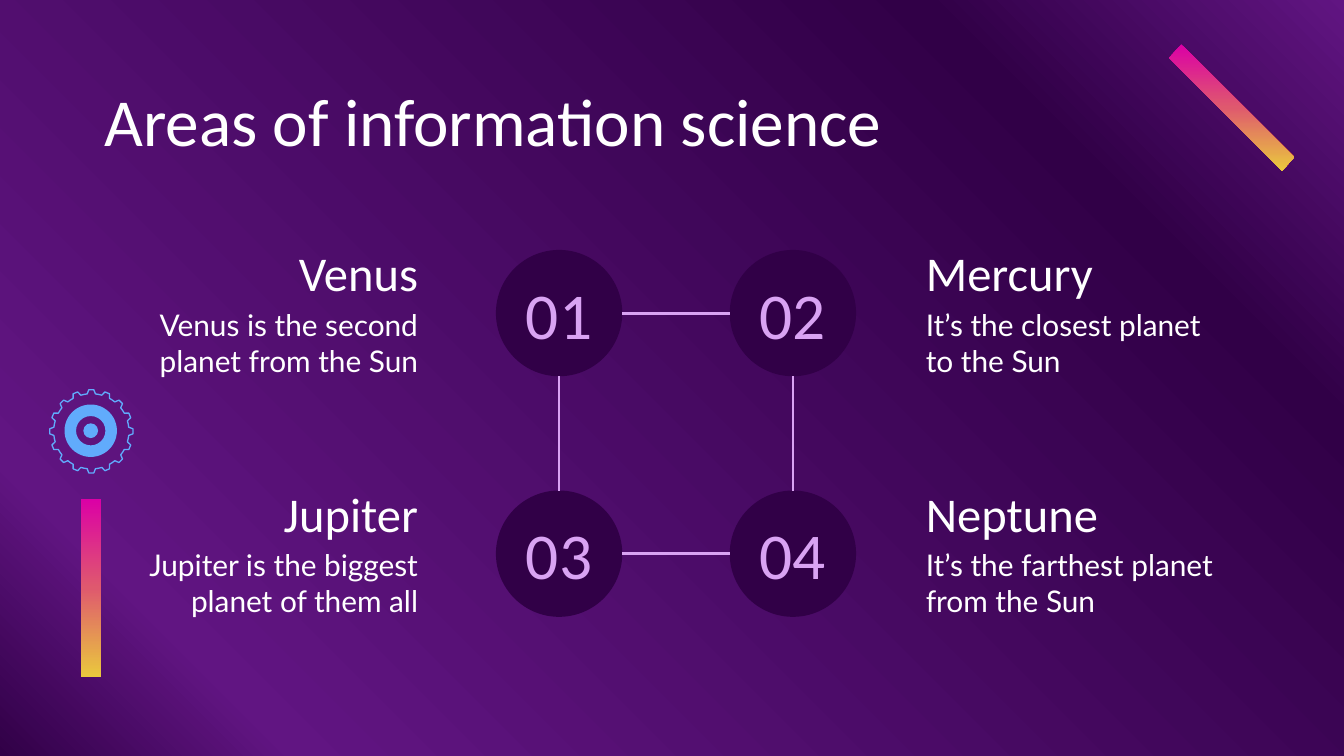
from copy import deepcopy
from math import cos, pi, sin

from pptx import Presentation
from pptx import util as u
from pptx.dml.color import RGBColor
from pptx.enum import shapes, text
from pptx.oxml import ns, xmlchemy

THEME = {
    "dark": RGBColor.from_string("310047"),
    "lilac": RGBColor.from_string("D9A3F3"),
    "white": RGBColor.from_string("FFFFFF"),
    "blue": RGBColor.from_string("61ABFC"),
    "backdrop": [(0, "310047"), (0.14, "611582"), (0.8, "310047"), (1, "611582")],
    "sunset": [(0, "DB00A6"), (0.5, "DF596E"), (1, "EAC93D")],
    "title": {"name": "Calibri", "size": u.Pt(36)},
    "number": {"name": "Calibri", "size": u.Pt(35)},
    "heading": {"name": "Calibri", "size": u.Pt(26)},
    "body": {"name": "Lato", "size": u.Pt(16)},
}

deck = Presentation()
deck.slide_width = u.Inches(10)
deck.slide_height = u.Inches(10 * 9 / 16)
page = deck.slides.add_slide(deck.slide_layouts[6])


def write(words, area, style, color="white", align="LEFT", anchor="MIDDLE"):
    box = page.shapes.add_textbox(*map(u.Inches, area))
    frame = box.text_frame
    margins = {f"margin_{side}": u.Inches(0.1) for side in ("left", "top", "right", "bottom")}
    anchor = text.MSO_ANCHOR[anchor]
    for key, value in {"word_wrap": True, "vertical_anchor": anchor, **margins}.items():
        setattr(frame, key, value)
    para = frame.paragraphs[0]
    para.alignment = text.PP_ALIGN[align]
    span = para.add_run()
    span.text = words
    for key, value in THEME[style].items():
        setattr(span.font, key, value)
    span.font.color.rgb = THEME[color]


def polygon(points):
    corners = [(u.Inches(x), u.Inches(y)) for x, y in points]
    builder = page.shapes.build_freeform(*corners[0])
    builder.add_line_segments(corners[1:], close=True)
    outline = builder.convert_to_shape()
    outline.shadow.inherit = False
    return outline


diameter = 0.94
radius = diameter / 2
columns = [(3.69, 0.76, "RIGHT"), (5.43, 6.79, "LEFT")]
rows = [1.86, 3.65]
planets = [
    ("Venus", "Venus is the second planet from the Sun"),
    ("Mercury", "It’s the closest planet to the Sun"),
    ("Jupiter", "Jupiter is the biggest planet of them all"),
    ("Neptune", "It’s the farthest planet from the Sun"),
]
cells = [(top, *column) for top in rows for column in columns]

discs = [((left, top, diameter, diameter), "OVAL", "dark") for top, left, *_ in cells]
hub = [((0.48, 3.01, 0.39, 0.39), "DONUT", "blue"), ((0.62, 3.15, 0.11, 0.11), "OVAL", "blue")]
for area, kind, color in discs + hub:
    disc = page.shapes.add_shape(shapes.MSO_SHAPE[kind], *map(u.Inches, area))
    disc.shadow.inherit = False
    disc.fill.solid()
    disc.fill.fore_color.rgb = THEME[color]
    disc.line.fill.background()
    if kind == "DONUT":
        disc.adjustments[0] = 0.22

write("Areas of information science", (0.68, 0.49, 8.64, 0.63), "title", anchor="TOP")

for (top, left, text_left, align), (name, fact) in zip(cells, planets):
    write(name, (text_left, top - 0.03, 2.45, 0.39), "heading", align=align)
    write(fact, (text_left, top + 0.32, 2.45, 0.63), "body", align=align, anchor="TOP")

(west, *_), (east, *_) = columns
north, south = rows
links = [
    (west + diameter, north + radius, east, north + radius),
    (east + radius, north + diameter, east + radius, south),
    (east, south + radius, west + diameter, south + radius),
    (west + radius, south, west + radius, north + diameter),
]
for ends in links:
    link = page.shapes.add_connector(shapes.MSO_CONNECTOR.STRAIGHT, *map(u.Inches, ends))
    link.line.color.rgb = THEME["lilac"]
    link.line.width = u.Pt(1.5)
    link.element.spPr.append(xmlchemy.OxmlElement("a:effectLst"))

for number, (top, left, *_) in enumerate(cells, 1):
    write(f"{number:02}", (left - 0.1, top + 0.15, 1.14, 0.64), "number", "lilac", "CENTER")

bars = [
    polygon([(8.7, 0.43), (8.79, 0.33), (9.63, 1.17), (9.54, 1.27)]),
    polygon([(0.6, 5.04), (0.6, 3.71), (0.75, 3.71), (0.75, 5.04)]),
]
gradients = [(page.background.fill, page.element, THEME["backdrop"], 45)]
for bar in bars:
    bar.line.fill.background()
    gradients.append((bar.fill, bar.element, THEME["sunset"], 270))
for fill, element, stops, angle in gradients:
    fill.gradient()
    fill.gradient_angle = angle
    stop_list = next(element.iter(ns.qn("a:gsLst")))
    for _ in stops[2:]:
        stop_list.append(deepcopy(stop_list[0]))
    for stop, (position, color) in zip(fill.gradient_stops, stops):
        stop.position = position
        stop.color.rgb = RGBColor.from_string(color)

teeth = 16
profile = [(0.28, -0.11), (0.31, -0.06), (0.31, 0.06), (0.28, 0.11), (0.28, pi / teeth)]
gear = polygon([
    (0.68 + reach * sin(turn), 3.21 - reach * cos(turn))
    for tooth in range(teeth)
    for reach, offset in profile
    for turn in [tooth * 2 * pi / teeth + offset]
])
gear.fill.background()
gear.line.color.rgb = THEME["blue"]
gear.line.width = u.Pt(0.71)

deck.save("out.pptx")
